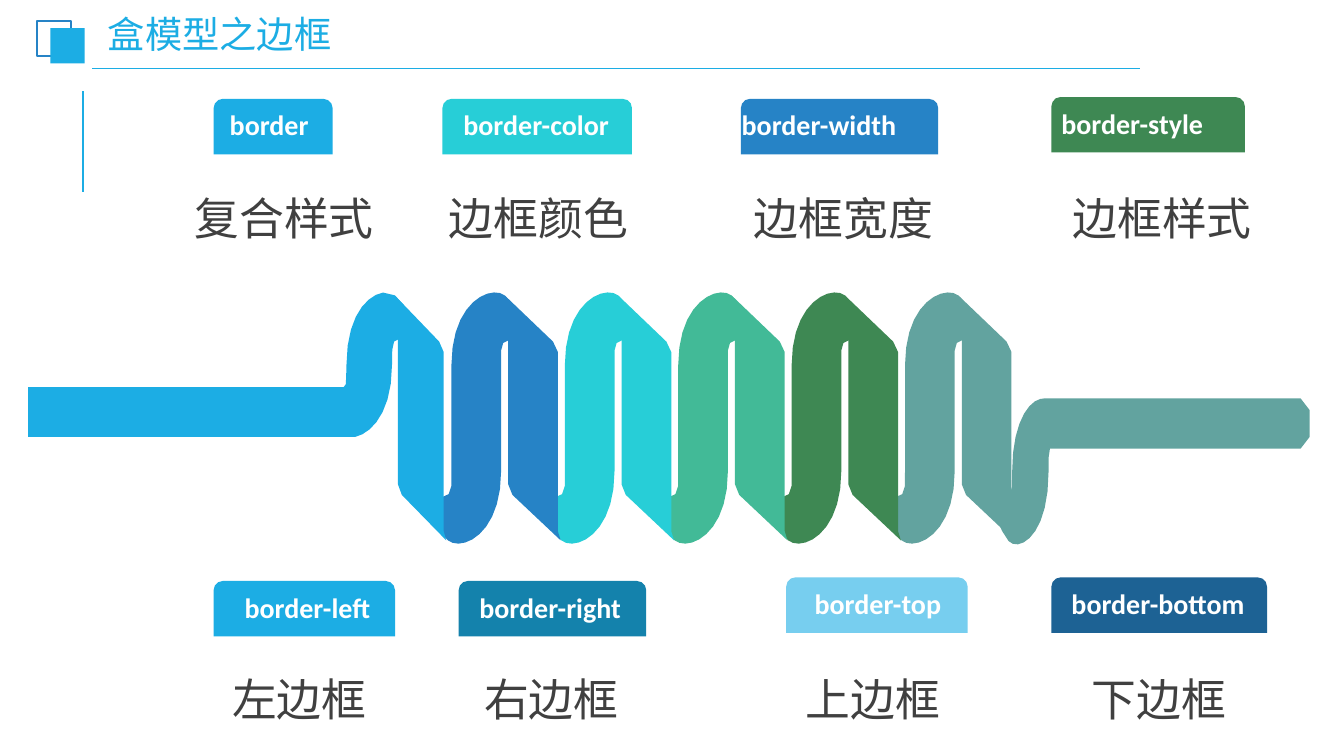
from dataclasses import dataclass
from math import dist
from lxml.etree import SubElement
from pptx import Presentation
from pptx.dml.color import RGBColor as Rgb
from pptx.enum.shapes import MSO_CONNECTOR as Conn, MSO_SHAPE as Kind
from pptx.enum.text import MSO_ANCHOR as Anchor, PP_ALIGN as Align
from pptx.oxml.ns import qn
from pptx.util import Pt


@dataclass(frozen=True)
class Theme:
    font: str = "Calibri"
    head: float = 26.6
    tag: int = 20
    note: int = 32
    sky: str = "1CADE4"
    blue: str = "2683C6"
    cyan: str = "27CED7"
    mint: str = "42BA97"
    green: str = "3E8853"
    sage: str = "62A39F"
    teal: str = "1482AC"
    pale: str = "77CEEF"
    navy: str = "1D6294"
    white: str = "FFFFFF"
    grey: str = "404040"


THEME = Theme()

# Outlines in points: a pair is a straight step, six numbers are a curve
BEND = [(35.5, 127.5), (35.5, 52), (35.5, 43.5, 35, 37.5, 37, 36),
        (44, 29.5, 50.5, 32.5, 52, 28), (54, 21, 44, 8, 38, 2),
        (28.5, -5.5, 0, 6, 0, 52), (0, 127.5),
        (0, 136, 0.5, 142, -2, 144), (-9, 150, -15.5, 147, -17, 152),
        (-18.5, 158.5, -9, 172, -2.5, 177),
        (7, 185, 35.5, 173.5, 35.5, 127.5)]
RAMP = [(38, 170.5), (38, 42.5), (38, 41, 37.5, 38, 34.5, 35), (0, 2),
        (0.5, 3, 2.5, 5, 2.5, 8.5), (2.5, 137),
        (2.5, 138, 2.5, 141.5, 5.5, 144.5), (40, 177),
        (40, 177, 38, 174, 38, 170.5)]
LEAD = [(253.6, 0), (257, -1, 260, 0, 262, 2),
        (268, 7, 277.5, 20.5, 276, 27), (274.5, 32, 268, 28.5, 261.5, 35),
        (260, 37, 260, 43, 260, 51.5), (260, 86, 245, 100.5, 234, 103),
        (0, 103), (0, 67.5), (225.5, 67.5), (227, 65.5),
        (227.5, 62.5, 227, 57.5, 227.5, 51.5),
        (227.5, 17, 242, 2, 253.6, 0)]
TAIL = [(726.5, 75.5), (909, 75.5), (912.5, 75.5, 915.5, 80, 915.5, 84),
        (915.5, 103), (915.5, 108, 912.5, 111.5, 909, 111.5), (730, 111.5),
        (729, 113.5, 729, 119.5, 729, 128),
        (729, 174, 708, 185.5, 700.5, 177.5),
        (696.5, 172.5, 689, 159, 690.5, 151.5),
        (691.5, 147.5, 696.5, 150.5, 701.5, 144),
        (703, 142.5, 703, 136.5, 703, 128),
        (703, 93.5, 714.5, 78, 723, 76)]

# Tag text, colour, tab left, top and width, text left and width, align, note
UPPER = [
    ("border", THEME.sky, 152.6, 70.6, 85, 157, 85, Align.LEFT, "复合样式", 108.7),
    ("border-color", THEME.cyan, 316, 70.6, 135.4, 301, 164, Align.CENTER,
     "边框颜色", 290.2),
    ("border-width", THEME.blue, 529.2, 70.6, 141, 522.7, 161, Align.LEFT,
     "边框宽度", 508.3),
    ("border-style", THEME.green, 751, 69.3, 138.2, 751, 145, Align.LEFT,
     "边框样式", 735.8)]
LOWER = [
    ("border-left", THEME.sky, 152.6, 415, 129.6, 154.8, 129.6, Align.CENTER,
     "左边框", 119.5),
    ("border-right", THEME.teal, 327.6, 415, 134, 316, 154, Align.CENTER,
     "右边框", 299.5),
    ("border-top", THEME.pale, 561.6, 412.4, 129.6, 562.3, 129.6, Align.CENTER,
     "上边框", 529.2),
    ("border-bottom", THEME.navy, 751, 412.4, 154, 738.7, 177, Align.CENTER,
     "下边框", 733.7)]


def paint(shape, fill=None, line=None):
    shape.shadow.inherit = False
    if fill:
        shape.fill.solid()
        shape.fill.fore_color.rgb = Rgb.from_string(fill)
    else:
        shape.fill.background()
    if line:
        shape.line.color.rgb = Rgb.from_string(line)
        shape.line.width = Pt(1.5)
    else:
        shape.line.fill.background()


def style(para, size, color, align, bold=False, space=None):
    para.alignment = align
    para.line_spacing = space
    font = para.font
    font.name, font.size, font.bold = THEME.font, Pt(size), bold
    font.color.rgb = Rgb.from_string(color)


def block(slide, kind, box, fill=None, line=None):
    shape = slide.shapes.add_shape(kind, *map(Pt, box))
    paint(shape, fill, line)


def label(slide, text, box, *look):
    frame = slide.shapes.add_textbox(*map(Pt, box)).text_frame
    frame.word_wrap = True
    para = frame.paragraphs[0]
    para.text = text
    style(para, *look)


def rule(slide, ends, width):
    line = slide.shapes.add_connector(Conn.STRAIGHT, *map(Pt, ends))
    line.line.color.rgb = Rgb.from_string(THEME.sky)
    line.line.width = Pt(width)
    SubElement(line._element.spPr, qn("a:effectLst"))


def trace(outline, chord=9):
    """Turn straight and curved steps into points about one chord apart."""
    dots = [outline[0]]
    for part in outline[1:]:
        if len(part) == 2:
            dots.append(part)
            continue
        nodes = [dots[-1], part[:2], part[2:4], part[4:]]
        steps = max(1, round(sum(map(dist, nodes, nodes[1:])) / chord))
        for n in range(1, steps + 1):
            t = n / steps
            mix = ((1 - t) ** 3, 3 * t * (1 - t) ** 2, 3 * t * t * (1 - t), t ** 3)
            dots.append(tuple(sum(m * p[k] for m, p in zip(mix, nodes))
                              for k in (0, 1)))
    return dots


def ribbon(slide, outline, left, top, fill, wide=1):
    dots = [(x * wide * 100, y * 100) for x, y in trace(outline)]
    pen = slide.shapes.build_freeform(*dots[0], scale=Pt(1) / 100)
    pen.add_line_segments(dots[1:], close=True)
    paint(pen.convert_to_shape(Pt(left), Pt(top)), fill)


def header(slide, left, top):
    rule(slide, (left + 33, top + 122, left + 33, top + 50), 1.5)
    rule(slide, (left + 39.5, top + 34, left + 787.5, top + 34), 1.25)
    block(slide, Kind.RECTANGLE, (left, top, 24.5, 25.2), line=THEME.blue)
    block(slide, Kind.RECTANGLE, (left + 9.5, top + 5, 24.5, 25.2), THEME.sky)
    title = slide.shapes.title
    title.left, title.top = Pt(left + 45.5), Pt(top - 2)
    title.width, title.height = Pt(283), Pt(26.6)
    frame = title.text_frame
    frame.text = "盒模型之边框"
    frame.vertical_anchor = Anchor.MIDDLE
    frame.margin_left = frame.margin_right = Pt(5)
    frame.margin_top = frame.margin_bottom = Pt(2.9)
    style(frame.paragraphs[0], THEME.head, THEME.sky, Align.LEFT, False, 0.9)


def coil(slide, left, top, pitch=81):
    ribbon(slide, TAIL, left, top, THEME.sage)
    fills = [THEME.blue, THEME.cyan, THEME.mint, THEME.green, THEME.sage]
    # Each turn covers the start of the one on its right
    for n, fill in reversed(list(enumerate(fills))):
        turn = left + 302.5 + n * pitch
        ribbon(slide, BEND, turn, top, fill)
        ribbon(slide, RAMP, turn + 38, top, fill)
    ribbon(slide, LEAD, left, top, THEME.sky)
    ribbon(slide, RAMP, left + 262, top, THEME.sky, 0.92)


def tags(slide, row, base):
    for text, fill, x, y, wide, start, span, align, note, spot in row:
        block(slide, Kind.ROUND_2_SAME_RECTANGLE, (x, y, wide, 39.6), fill)
        label(slide, text, (start, y + 3, span, 31.7),
              THEME.tag, THEME.white, align, True)
        label(slide, note, (spot, base, 188.6, 54),
              THEME.note, THEME.grey, Align.CENTER, False, 1.3)


def main():
    deck = Presentation()
    deck.slide_width, deck.slide_height = Pt(960), Pt(540)
    slide = deck.slides.add_slide(deck.slide_layouts[5])
    header(slide, 26.5, 15)
    coil(slide, 20, 209)
    tags(slide, UPPER, 121)
    tags(slide, LOWER, 465)
    deck.save("out.pptx")


if __name__ == "__main__":
    main()
